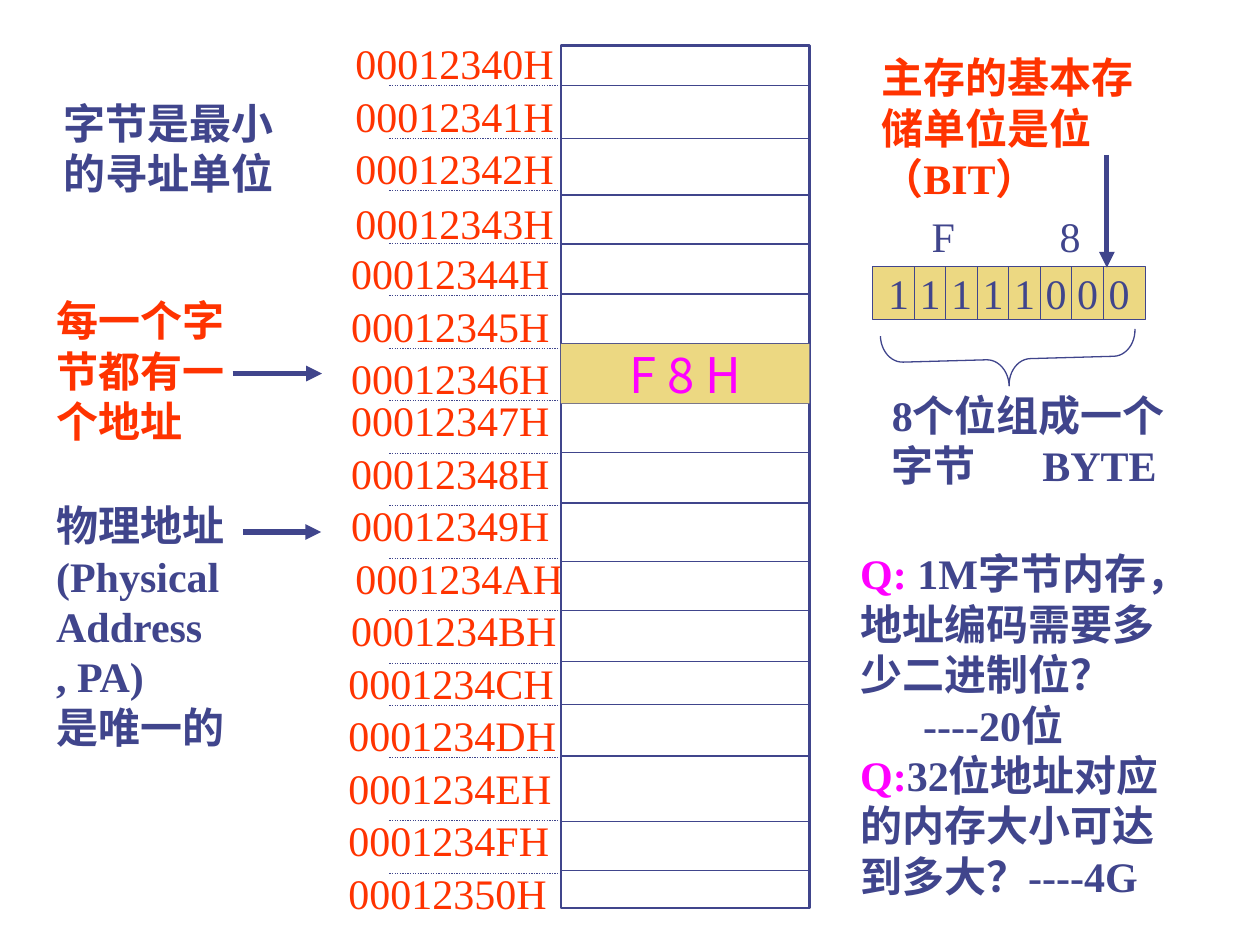
from pptx import Presentation
from pptx.dml.color import RGBColor
from pptx.enum.dml import MSO_LINE
from pptx.enum.shapes import MSO_CONNECTOR, MSO_SHAPE
from pptx.enum.text import MSO_ANCHOR, PP_ALIGN
from pptx.oxml.ns import qn
from pptx.util import Pt
from lxml import etree

NAVY = RGBColor(0x40, 0x45, 0x8C)
RED = RGBColor(0xFF, 0x33, 0x00)
MAGENTA = RGBColor(0xFF, 0x00, 0xFF)
SAND = RGBColor(0xEC, 0xD8, 0x82)
SERIF = "Times New Roman"
SANS = "Noto Sans CJK JP"


def style(p, color, size=24, bold=False, name=SERIF):
    for r in p.runs:
        r.font.name = name
        r.font.size = Pt(size)
        r.font.bold = bold
        r.font.color.rgb = color


def add_text(slide, box, text, color, bold=True, align=PP_ALIGN.LEFT):
    """Add a text box; each line of text becomes a paragraph."""
    sp = slide.shapes.add_textbox(*map(Pt, box))
    tf = sp.text_frame
    tf.word_wrap = True
    tf.text = text
    for p in tf.paragraphs:
        p.alignment = align
        style(p, color, bold=bold)
    return tf


def add_line(slide, x1, y1, x2, y2, width=0.75, dotted=False, arrow=False):
    line = slide.shapes.add_connector(
        MSO_CONNECTOR.STRAIGHT, Pt(x1), Pt(y1), Pt(x2), Pt(y2))
    line.line.color.rgb = NAVY
    line.line.width = Pt(width)
    if dotted:
        line.line.dash_style = MSO_LINE.ROUND_DOT
    if arrow:
        etree.SubElement(line.line._get_or_add_ln(), qn("a:tailEnd"), type="triangle")
    etree.SubElement(line._element.spPr, qn("a:effectLst"))


def add_box(slide, kind, box, fill=None, line_width=None):
    sp = slide.shapes.add_shape(kind, *map(Pt, box))
    sp.shadow.inherit = False
    if fill is None:
        sp.fill.background()
    else:
        sp.fill.solid()
        sp.fill.fore_color.rgb = fill
    if line_width is None:
        sp.line.fill.background()
    else:
        sp.line.color.rgb = NAVY
        sp.line.width = Pt(line_width)
    return sp


def set_shape_text(sp, text, color, size, name):
    tf = sp.text_frame
    tf.word_wrap = False
    tf.vertical_anchor = MSO_ANCHOR.MIDDLE
    tf.text = text
    tf.paragraphs[0].alignment = PP_ALIGN.CENTER
    style(tf.paragraphs[0], color, size, name=name)


def add_addresses(slide, left, top, right):
    """Consecutive byte addresses, with dotted rules leading to the memory."""
    shifts = [4] * 4 + [1.5] * 6 + [4, 1.5] + [0] * 5
    for i, shift in enumerate(shifts):
        y = top + 30 * i - (6 if i >= 7 else 0) + (1.5 if i == 3 else 0)
        add_text(slide, (left + shift, y, 137, 36), f"{0x12340 + i:08X}H", RED, bold=False)
    for offset in [31 + 30 * i for i in range(12)] + [385, 415, 451, 481]:
        add_line(slide, left + 30.5, top + offset, right, top + offset, dotted=True)


def add_memory(slide, left, top, width, height):
    """Memory column with one byte highlighted."""
    rows = [23, 53, 85.5, 113.5, 142, 170.5, 204.5, 232.5, 261.5,
            295, 323, 352, 376.5, 406, 443.5, 471.5]
    for y in rows:
        add_line(slide, left, top + y, left + width, top + y)
    add_box(slide, MSO_SHAPE.RECTANGLE, (left, top, width, height), line_width=1.5)
    first, last = rows[5:7]
    cell = add_box(slide, MSO_SHAPE.RECTANGLE,
                   (left, top + first, width, last - first), SAND)
    set_shape_text(cell, "F 8 H", MAGENTA, 28, SANS)


def add_byte(slide, left, top, width, height):
    """The eight bits of the byte, its hex digits, brace and captions."""
    bits = add_box(slide, MSO_SHAPE.RECTANGLE, (left, top, width, height), SAND, 0.75)
    set_shape_text(bits, "1 1 1 1 1 0 0 0", NAVY, 24, SERIF)
    for i in range(7):
        x = left + 24 + 18 * i
        add_line(slide, x, top, x, top + height)

    # Hex digits above the two nibbles
    for i, digit in enumerate("F8"):
        add_text(slide, (left + 22.5 + 72.5 * i, top - 36, 36, 36), digit, NAVY,
                 bold=False, align=PP_ALIGN.CENTER)

    # Captions
    add_text(slide, (left - 2, top - 126.5, 181.5, 93.5), "主存的基本存储单位是位（BIT）", RED)
    add_line(slide, left + 134, top - 64, left + 134, top + 0.5, 3, arrow=True)
    tf = add_text(slide, (left + 4, top + 66.5, 175.5, 65), "8个位组成一个字节\tBYTE", NAVY)
    tabs = etree.SubElement(tf.paragraphs[0]._p.get_or_add_pPr(), qn("a:tabLst"))
    etree.SubElement(tabs, qn("a:tab"), pos=str(Pt(86)), algn="l")

    # Brace below the bits
    brace = add_box(slide, MSO_SHAPE.LEFT_BRACE,
                    (left + 62.5, top - 20, 30.5, 145.5), line_width=0.75)
    brace.adjustments[0] = 0.41
    brace.rotation = 268.4


def add_notes_column(slide, left, top):
    """Remarks on addressing, with arrows to the addresses."""
    add_text(slide, (left + 4.5, top, 149, 65), "字节是最小的寻址单位", NAVY)
    add_text(slide, (left, top + 113, 119, 93.5), "每一个字节都有一个地址", RED)
    add_line(slide, left + 108, top + 161.5, left + 159, top + 161.5, 3, arrow=True)
    add_text(slide, (left, top + 230, 136, 151),
             "物理地址\n(Physical\nAddress\n, PA)\n是唯一的", NAVY)
    add_line(slide, left + 114, top + 252, left + 158.5, top + 252, 3, arrow=True)


def add_questions(slide, left, top, width, height):
    """Questions with a coloured lead and their answers."""
    tf = add_text(slide, (left, top, width, height), "", NAVY)
    paragraphs = [("Q:", " 1M字节内存，地址编码需要多少二进制位？"),
                  ("", "----20位"),
                  ("Q:", "32位地址对应的内存大小可达到多大？----4G")]
    for i, (lead, body) in enumerate(paragraphs):
        p = tf.add_paragraph() if i else tf.paragraphs[0]
        for text in filter(None, (lead, body)):
            p.add_run().text = text
        style(p, NAVY, bold=True)
        if lead:
            p.runs[0].font.color.rgb = MAGENTA
        else:
            p._p.get_or_add_pPr().set("marL", str(Pt(36)))


def main():
    prs = Presentation()
    prs.slide_width, prs.slide_height = Pt(720), Pt(540)
    slide = prs.slides.add_slide(prs.slide_layouts[6])
    add_addresses(slide, 192, 18, 320.5)
    add_byte(slide, 498.5, 152.5, 156, 30)
    add_notes_column(slide, 25, 52)
    add_questions(slide, 484.5, 309.5, 204.5, 209)
    add_memory(slide, 320.5, 26, 142, 493)
    prs.save("out.pptx")


if __name__ == "__main__":
    main()
